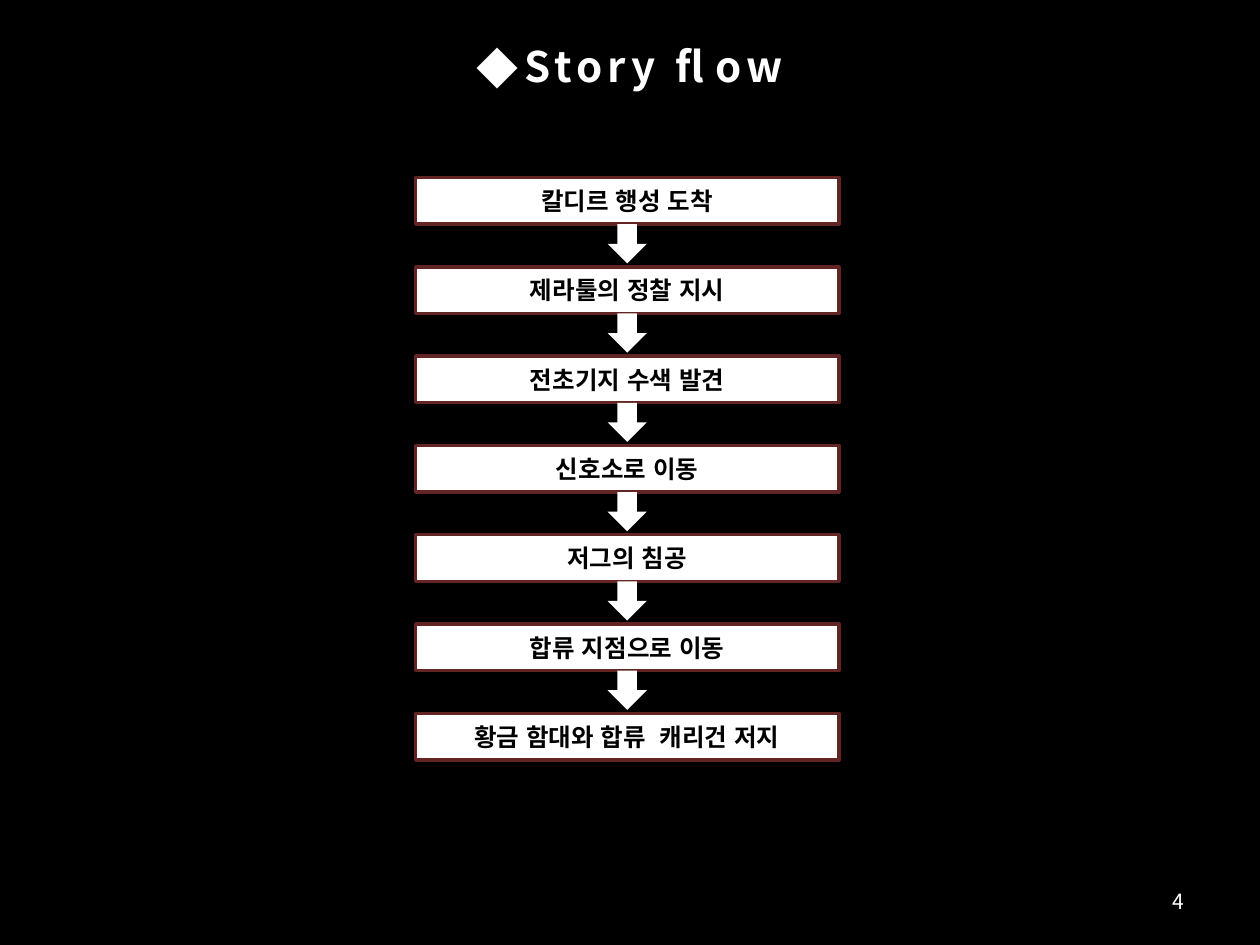
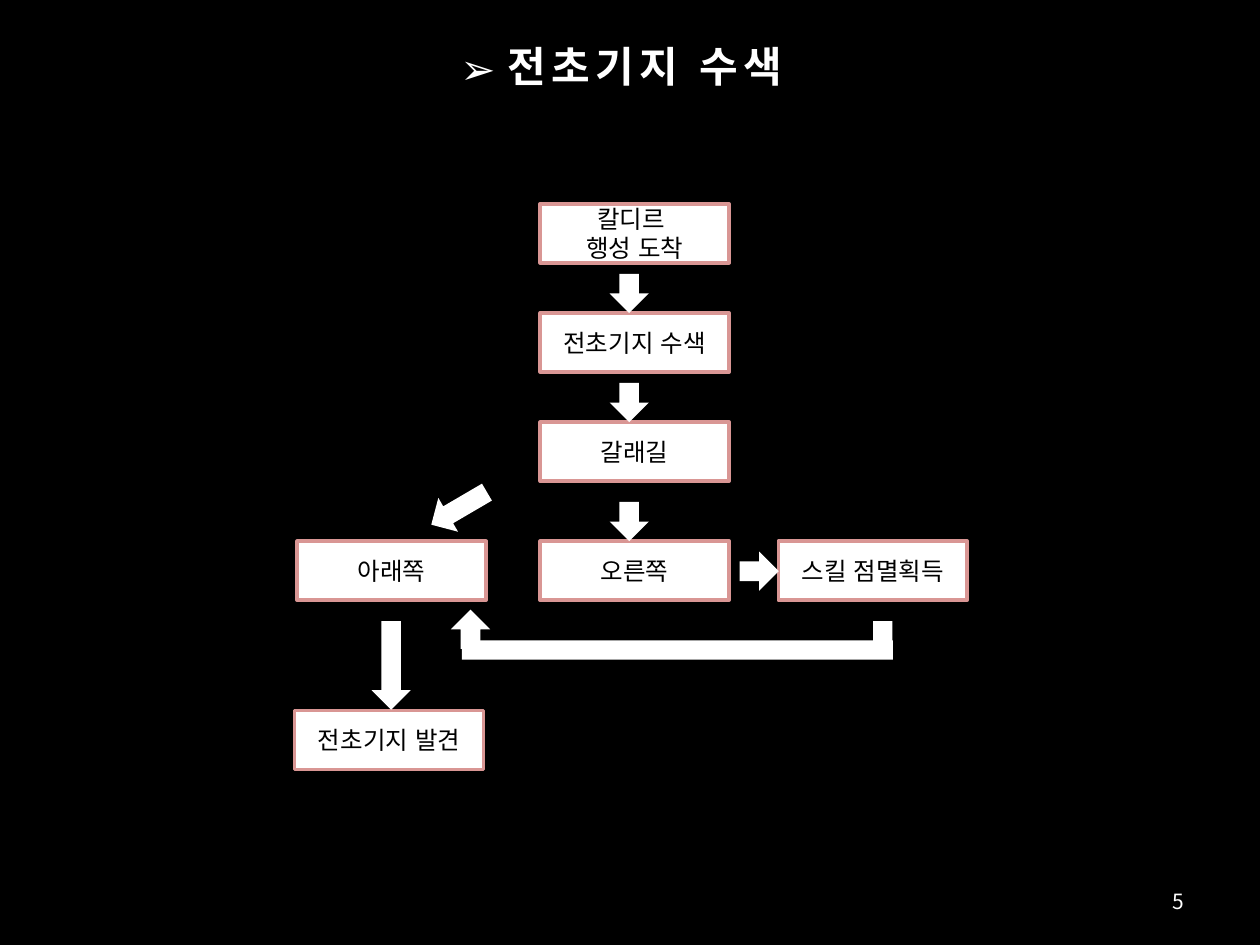
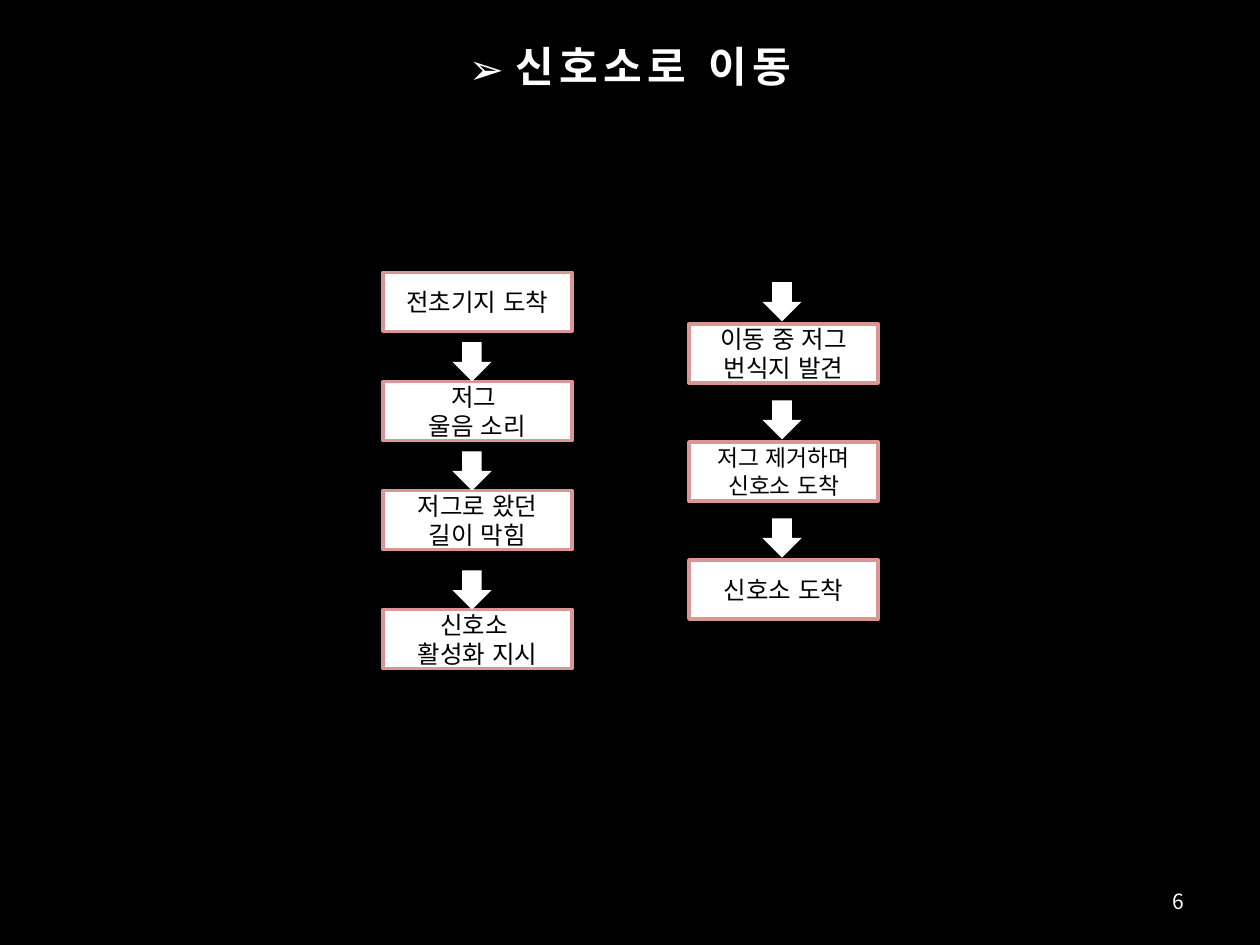
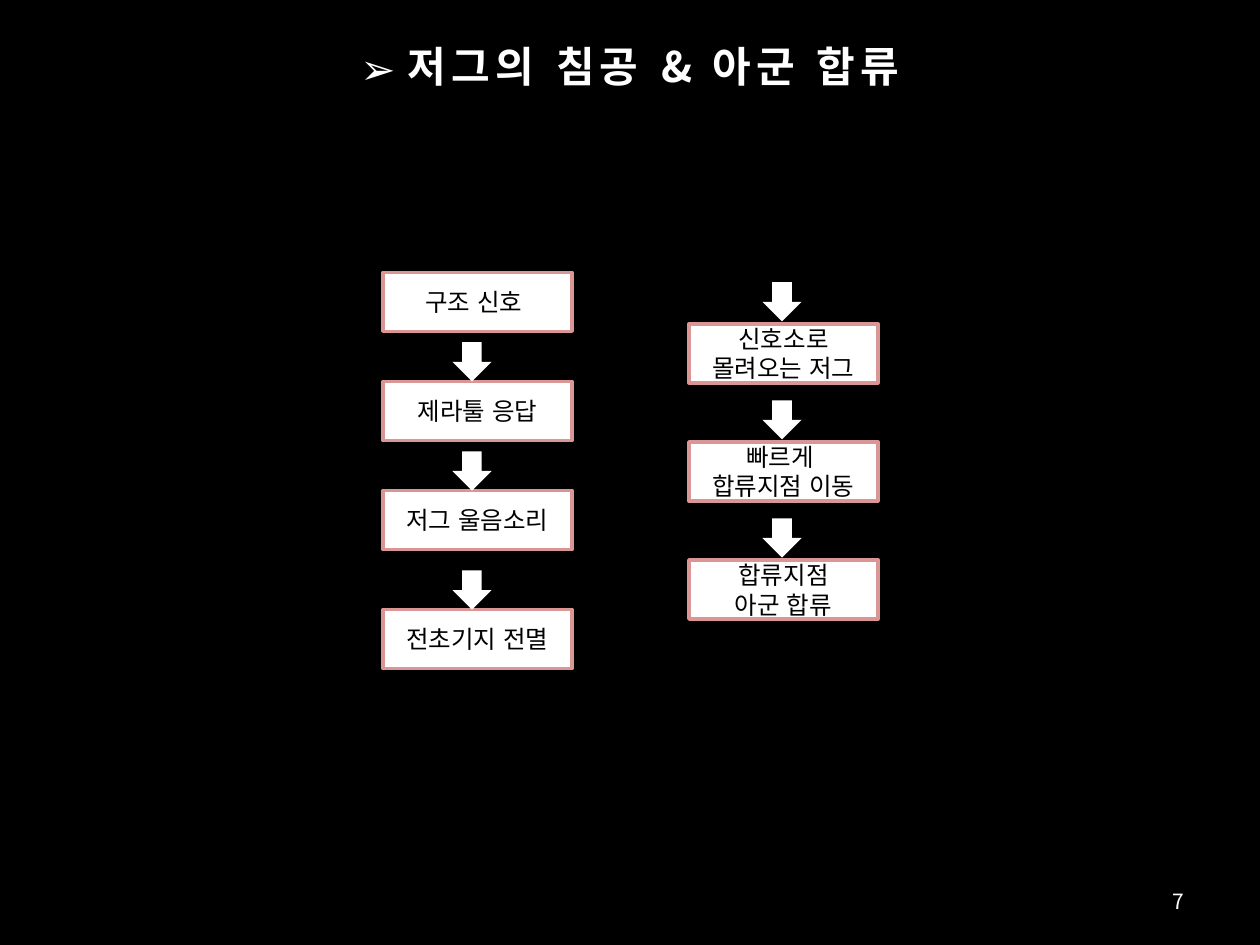
import pptx
import pptx.dml.color
import pptx.enum.shapes
import pptx.enum.text
import pptx.oxml.ns
import pptx.util
from lxml import etree

Cm = pptx.util.Cm
Pt = pptx.util.Pt
SHAPE = pptx.enum.shapes.MSO_SHAPE
ALIGN = pptx.enum.text.PP_ALIGN
qn = pptx.oxml.ns.qn

FONT = "Noto Sans CJK KR"
BLACK, WHITE, MAROON, PINK = "000000", "FFFFFF", "632523", "D99694"
ARROW = 0.79
BAR = 0.39
BOX_W, BOX_H = 3.81, 1.19
STEP_TOPS = (0, 2.2, 4.4, 6.8)


def paint(fmt, color):
    """Fill a fill format with a solid hex colour."""
    fmt.solid()
    fmt.fore_color.rgb = pptx.dml.color.RGBColor.from_string(color)


def write(tf, text, size, color, align=ALIGN.CENTER, bold=False):
    """Write one paragraph per line of text, vertically centred."""
    tf.word_wrap = True
    tf.vertical_anchor = pptx.enum.text.MSO_ANCHOR.MIDDLE
    for i, line in enumerate(text.split("\n")):
        p = tf.add_paragraph() if i else tf.paragraphs[0]
        p.alignment = align
        r = p.add_run()
        r.text = line
        r.font.size = Pt(size)
        r.font.bold = bold
        r.font.name = FONT
        paint(r.font.fill, color)
        rpr = r.font._element
        rpr.set("lang", "ko-KR")
        etree.SubElement(rpr, qn("a:ea"), typeface=FONT)


def shape(slide, kind, left, top, width, height, line=None):
    """Add a white preset shape with an optional outline."""
    sp = slide.shapes.add_shape(kind, Cm(left), Cm(top), Cm(width), Cm(height))
    sp.shadow.inherit = False
    paint(sp.fill, WHITE)
    if line:
        paint(sp.line.fill, line)
        sp.line.width = Pt(2)
    else:
        sp.line.fill.background()
    return sp


def box(slide, text, left, top, width=BOX_W, height=BOX_H, line=PINK, size=14, bold=False):
    """Add a labelled step box."""
    sp = shape(slide, SHAPE.RECTANGLE, left, top, width, height, line)
    write(sp.text_frame, text, size, BLACK, bold=bold)


def arrow(slide, left, top, height=ARROW, rotation=0):
    """Add a block arrow that points down before rotation."""
    sp = shape(slide, SHAPE.DOWN_ARROW, left, top, ARROW, height)
    sp.rotation = rotation


def new_slide(prs, number, title, bullet="➢"):
    """Add a slide with its bulleted title and page number."""
    slide = prs.slides.add_slide(prs.slide_layouts[5])
    sp = slide.shapes.title
    sp.left, sp.top, sp.width, sp.height = Cm(1.27), Cm(0.33), Cm(22.86), Cm(2)
    write(sp.text_frame, title, 24, WHITE, bold=True)
    p = sp.text_frame.paragraphs[0]
    p.runs[0].font._element.set("spc", "300")
    ppr = p._p.get_or_add_pPr()
    ppr.set("marL", str(Cm(0.95)))
    ppr.set("indent", str(Cm(-0.95)))
    etree.SubElement(ppr, qn("a:buFont"), typeface=FONT)
    etree.SubElement(ppr, qn("a:buChar"), char=bullet)
    footer = slide.shapes.add_textbox(Cm(18.21), Cm(17.65), Cm(5.92), Cm(1.02))
    write(footer.text_frame, str(number), 12, WHITE, ALIGN.RIGHT)
    return slide


def story_flow(slide, labels, left, top):
    """Stack wide bold steps at an even pitch with arrows between."""
    width, height, pitch = 8.53, 0.94, 1.8
    for i, label in enumerate(labels):
        y = top + i * pitch
        box(slide, label, left, y, width, height, MAROON, bold=True)
        if i:
            arrow(slide, left + (width - ARROW) / 2, y - 0.86)


def step_column(slide, labels, left, top):
    """Stack four steps, each arrow touching the next box."""
    for label, y in zip(labels, STEP_TOPS):
        box(slide, label, left, top + y)
        if y:
            arrow(slide, left + 1.4, top + y - ARROW)


def continued_column(slide, labels, left, top, small=()):
    """Stack steps that each follow an arrow, including the first."""
    for i, label in enumerate(labels):
        y = top + i * 2.38
        box(slide, label, left, y, size=13 if label in small else 14)
        arrow(slide, left + 1.48, y - 0.84)


def branch_flow(slide, left, top):
    """Draw the search steps, their fork and the way back."""
    fork = STEP_TOPS[-1]
    step_column(slide, ("칼디르 \n행성 도착", "전초기지 수색", "갈래길", "오른쪽"), left + 4.95, top)
    for label, x, y in (("아래쪽", 0.05, fork), ("스킬 점멸획득", 9.75, fork),
                        ("전초기지 발견", 0, 10.21)):
        box(slide, label, left + x, top + y)
    for x, y, height, rotation in ((2.92, 5.49, 1.3, 59.7), (8.97, 7.01, ARROW, 270),
                                   (1.55, 8.41, 1.79, 0), (3.15, 8.18, ARROW, 180)):
        arrow(slide, left + x, top + y, height, rotation)
    for x, y, width, height in ((3.37, 8.8, 8.69, BAR), (11.66, 8.41, BAR, 0.69)):
        shape(slide, SHAPE.RECTANGLE, left + x, top + y, width, height)


def two_columns(slide, first, second, left, top, small=()):
    """Place a step column and its continuation side by side."""
    step_column(slide, first, left, top)
    continued_column(slide, second, left + 6.17, top + 1.04, small)


def main():
    """Build and save the four slides."""
    prs = pptx.Presentation()
    prs.slide_width, prs.slide_height = Cm(25.4), Cm(19.05)
    paint(prs.slide_master.background.fill, BLACK)

    slide = new_slide(prs, 4, "Story flow", "◆")
    story_flow(slide, ("칼디르 행성 도착", "제라툴의 정찰 지시", "전초기지 수색 발견",
                       "신호소로 이동", "저그의 침공", "합류 지점으로 이동",
                       "황금 함대와 합류  캐리건 저지"), 8.38, 3.58)

    slide = new_slide(prs, 5, "전초기지 수색 ")
    branch_flow(slide, 5.94, 4.11)

    slide = new_slide(prs, 6, "신호소로 이동")
    two_columns(slide,
                ("전초기지 도착", "저그 \n울음 소리", "저그로 왔던 길이 막힘", "신호소 \n활성화 지시"),
                ("이동 중 저그 번식지 발견", "저그 제거하며 신호소 도착", "신호소 도착"),
                7.72, 5.49, small=("저그 제거하며 신호소 도착",))

    slide = new_slide(prs, 7, "저그의 침공 & 아군 합류")
    two_columns(slide,
                ("구조 신호 ", "제라툴 응답", "저그 울음소리", "전초기지 전멸"),
                ("신호소로 몰려오는 저그", "빠르게 \n합류지점 이동", "합류지점\n아군 합류"),
                7.72, 5.49)

    prs.save("out.pptx")


if __name__ == "__main__":
    main()
